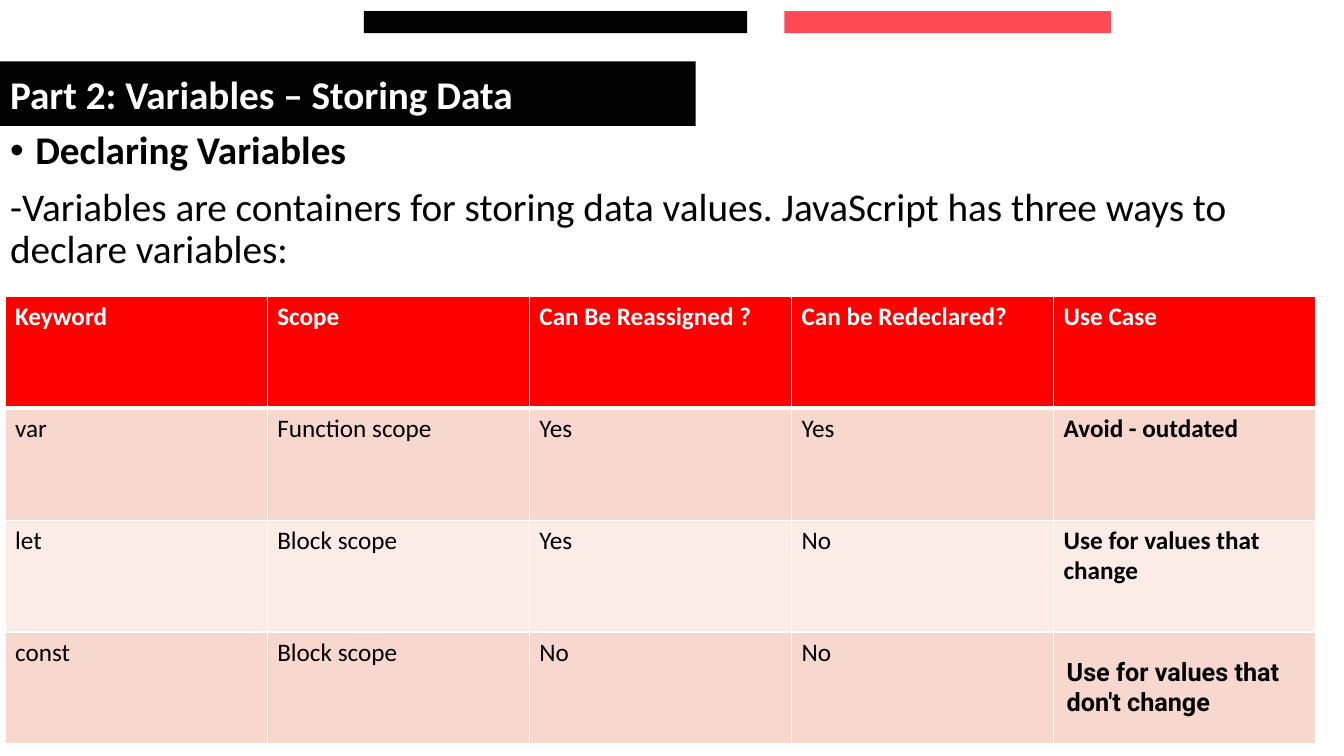
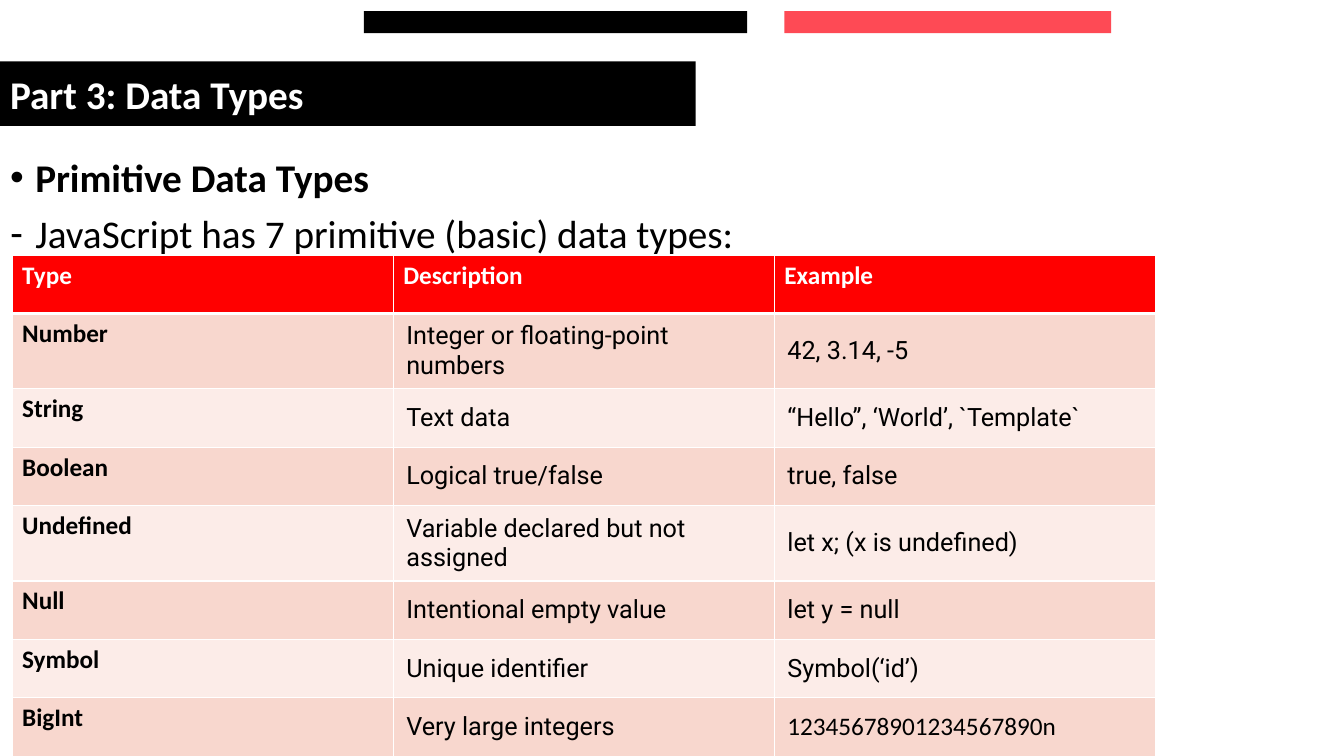
from dataclasses import dataclass
from typing import Optional

from lxml.etree import SubElement
from pptx import Presentation
from pptx.dml.color import RGBColor
from pptx.enum.shapes import MSO_SHAPE
from pptx.enum.text import MSO_ANCHOR, MSO_AUTO_SIZE, PP_ALIGN
from pptx.oxml.ns import qn
from pptx.util import Inches, Pt

COLORS = {
    "black": "000000",
    "white": "FFFFFF",
    "coral": "FE4A55",
    "header": "FF0000",
    "odd_row": "F8D7CE",
    "even_row": "FCECE8",
}
BODY_FONT = "Calibri"
DETAIL_FONT = "Roboto"
BODY_BOTTOM = 7.39


@dataclass(frozen=True)
class Bar:
    left: float
    width: float
    color: str


@dataclass(frozen=True)
class Line:
    text: str
    bullet: Optional[str] = None
    bold: bool = False


@dataclass(frozen=True)
class CellStyle:
    font: str = BODY_FONT
    bold: bool = False
    anchor: MSO_ANCHOR = MSO_ANCHOR.TOP
    left: float = 0.1
    right: float = 0.1
    vertical: float = 0.05


@dataclass(frozen=True)
class Grid:
    left: float
    top: float
    column_width: float
    row_height: float
    rows: list[list[str]]
    column_styles: list[CellStyle]
    last_cell_style: CellStyle


@dataclass(frozen=True)
class Page:
    title: str
    body_top: float
    lines: list[Line]
    grid: Grid


BARS = [Bar(3.61, 3.8, "black"), Bar(7.78, 3.24, "coral")]

PLAIN = CellStyle()
STRONG = CellStyle(bold=True)
DESCRIPTION = CellStyle(DETAIL_FONT, False, MSO_ANCHOR.MIDDLE, 0.13, 0.13, 0.08)
EXAMPLE = CellStyle(DETAIL_FONT, False, MSO_ANCHOR.MIDDLE, 0.13, 0.1, 0.08)
STRONG_DETAIL = CellStyle(DETAIL_FONT, True, MSO_ANCHOR.MIDDLE, 0.13, 0.1, 0.08)
LONG_NUMBER = CellStyle(BODY_FONT, False, MSO_ANCHOR.MIDDLE, 0.13, 0.1, 0.08)

PAGES = [
    Page(
        "Part 2: Variables – Storing Data",
        1.25,
        [
            Line("Declaring Variables", "•", True),
            Line("-Variables are containers for storing data values. "
                 "JavaScript has three ways to declare variables:"),
        ],
        Grid(
            0.05, 2.94, 2.6, 1.11,
            [
                ["Keyword", "Scope", "Can Be Reassigned ?", "Can be Redeclared?", "Use Case"],
                ["var", "Function scope", "Yes", "Yes", "Avoid - outdated"],
                ["let", "Block scope", "Yes", "No", "Use for values that change"],
                ["const", "Block scope", "No", "No", "Use for values that don't change"],
            ],
            [PLAIN] * 4 + [STRONG],
            STRONG_DETAIL,
        ),
    ),
    Page(
        "Part 3: Data Types",
        1.52,
        [
            Line("Primitive Data Types", "•", True),
            Line("JavaScript has 7 primitive (basic) data types:", "-"),
        ],
        Grid(
            0.12, 2.53, 3.78, 0.58,
            [
                ["Type", "Description", "Example"],
                ["Number", "Integer or floating-point numbers", "42, 3.14, -5"],
                ["String", "Text data", "“Hello”, ‘World’, `Template`"],
                ["Boolean", "Logical true/false", "true, false"],
                ["Undefined", "Variable declared but not assigned", "let x; (x is undefined)"],
                ["Null", "Intentional empty value", "let y = null"],
                ["Symbol", "Unique identifier", "Symbol(‘id’)"],
                ["BigInt", "Very large integers", "12345678901234567890n"],
            ],
            [STRONG, DESCRIPTION, EXAMPLE],
            LONG_NUMBER,
        ),
    ),
]


def rgb(name: str) -> RGBColor:
    return RGBColor.from_string(COLORS[name])


def paint(fill, color: str) -> None:
    fill.solid()
    fill.fore_color.rgb = rgb(color)


def write(para, text: str, *, size: float = 28, font: str = BODY_FONT,
          color: str = "black", bold: bool = False) -> None:
    para.alignment = PP_ALIGN.LEFT
    span = para.add_run()
    span.text = text
    span.font.size = Pt(size)
    span.font.name = font
    span.font.color.rgb = rgb(color)
    span.font.bold = bold


def place(shape, left: float, top: float, width: float, height: float) -> None:
    shape.left, shape.top = Inches(left), Inches(top)
    shape.width, shape.height = Inches(width), Inches(height)


def set_bullet(para, bullet: Optional[str]) -> None:
    properties = para._p.get_or_add_pPr()
    indent = Inches(0.25) if bullet else 0
    properties.set("marL", str(indent))
    properties.set("indent", str(-indent))
    if bullet:
        SubElement(properties, qn("a:buFont"), typeface="Arial")
        SubElement(properties, qn("a:buChar"), char=bullet)
    else:
        SubElement(properties, qn("a:buNone"))


def draw_bars(slide) -> None:
    for bar in BARS:
        shape = slide.shapes.add_shape(MSO_SHAPE.RECTANGLE, Inches(bar.left), Inches(0.11),
                                       Inches(bar.width), Inches(0.22))
        shape.shadow.inherit = False
        shape.line.fill.background()
        paint(shape.fill, bar.color)


def draw_title(slide, text: str) -> None:
    box = slide.shapes.title
    place(box, 0, 0.61, 6.9, 0.64)
    paint(box.fill, "black")
    frame = box.text_frame
    frame.auto_size = MSO_AUTO_SIZE.NONE
    frame.vertical_anchor = MSO_ANCHOR.MIDDLE
    write(frame.paragraphs[0], text, color="white", bold=True)


def draw_body(slide, top: float, lines: list[Line]) -> None:
    box = slide.placeholders[1]
    place(box, 0, top, 13.33, BODY_BOTTOM - top)
    frame = box.text_frame
    frame.auto_size = MSO_AUTO_SIZE.NONE
    frame.vertical_anchor = MSO_ANCHOR.TOP
    for index, line in enumerate(lines):
        para = frame.add_paragraph() if index else frame.paragraphs[0]
        para.line_spacing = 0.9
        para.space_before = Pt(10 if index else 0)
        set_bullet(para, line.bullet)
        write(para, line.text, bold=line.bold)


def set_borders(cell, top: float, bottom: float) -> None:
    properties = cell._tc.get_or_add_tcPr()
    for tag, width in (("lnL", 1), ("lnR", 1), ("lnT", top), ("lnB", bottom)):
        border = SubElement(properties, qn(f"a:{tag}"), w=str(Pt(width)))
        fill = SubElement(border, qn("a:solidFill"))
        SubElement(fill, qn("a:srgbClr"), val=COLORS["white"])


def draw_cell(cell, text: str, style: CellStyle, row: int) -> None:
    set_borders(cell, 3 if row == 1 else 1, 3 if row == 0 else 1)
    if row == 0:
        background = "header"
    else:
        background = "odd_row" if row % 2 else "even_row"
    paint(cell.fill, background)
    cell.vertical_anchor = style.anchor
    cell.margin_left, cell.margin_right = Inches(style.left), Inches(style.right)
    cell.margin_top = cell.margin_bottom = Inches(style.vertical)
    write(cell.text_frame.paragraphs[0], text, size=18, font=style.font,
          color="black" if row else "white", bold=style.bold)


def draw_grid(slide, grid: Grid) -> None:
    row_count, column_count = len(grid.rows), len(grid.column_styles)
    table = slide.shapes.add_table(
        row_count, column_count, Inches(grid.left), Inches(grid.top),
        Inches(grid.column_width * column_count), Inches(grid.row_height * row_count),
    ).table
    for column in table.columns:
        column.width = Inches(grid.column_width)
    for row in table.rows:
        row.height = Inches(grid.row_height)
    last_cell = (row_count - 1, column_count - 1)
    for row_index, texts in enumerate(grid.rows):
        for column_index, text in enumerate(texts):
            style = grid.column_styles[column_index] if row_index else STRONG
            if (row_index, column_index) == last_cell:
                style = grid.last_cell_style
            draw_cell(table.cell(row_index, column_index), text, style, row_index)


def main() -> None:
    deck = Presentation()
    deck.slide_width, deck.slide_height = Inches(13.33), Inches(7.5)
    for page in PAGES:
        slide = deck.slides.add_slide(deck.slide_layouts[1])
        draw_body(slide, page.body_top, page.lines)
        draw_bars(slide)
        draw_title(slide, page.title)
        draw_grid(slide, page.grid)
    deck.save("out.pptx")


if __name__ == "__main__":
    main()
